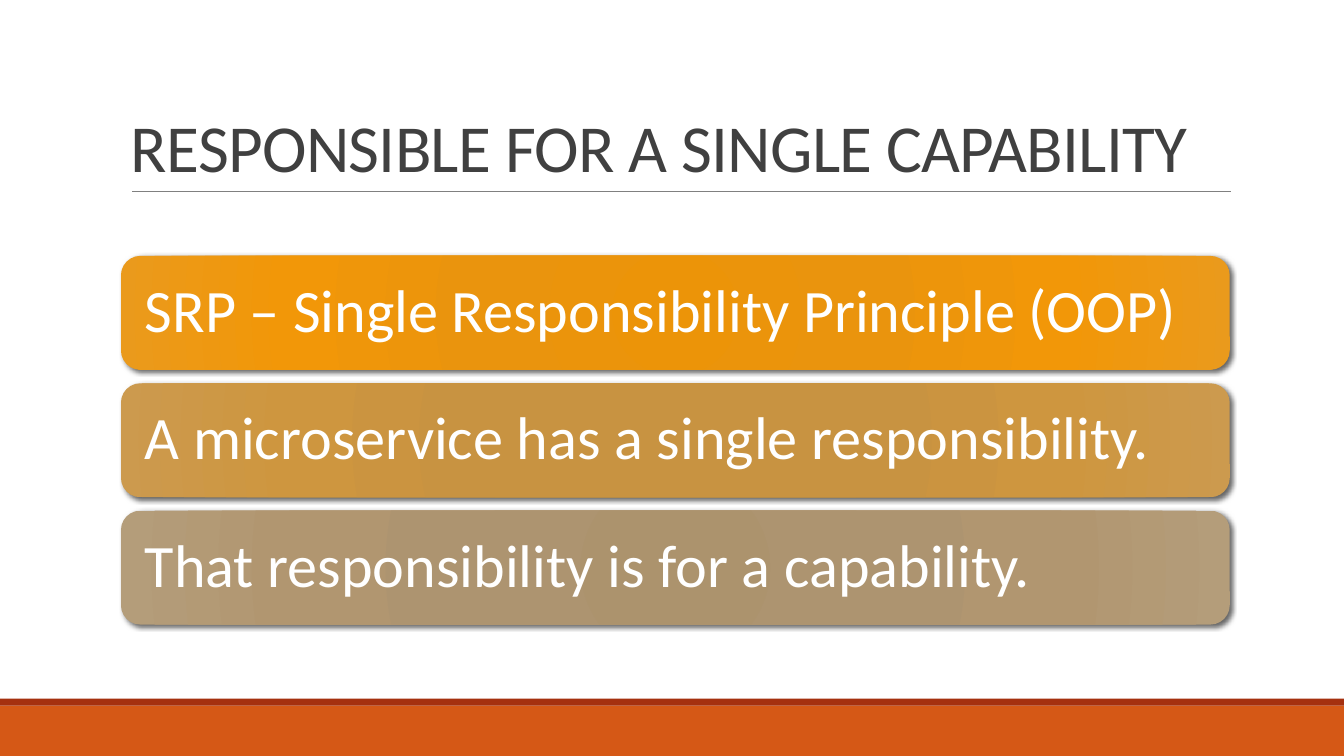
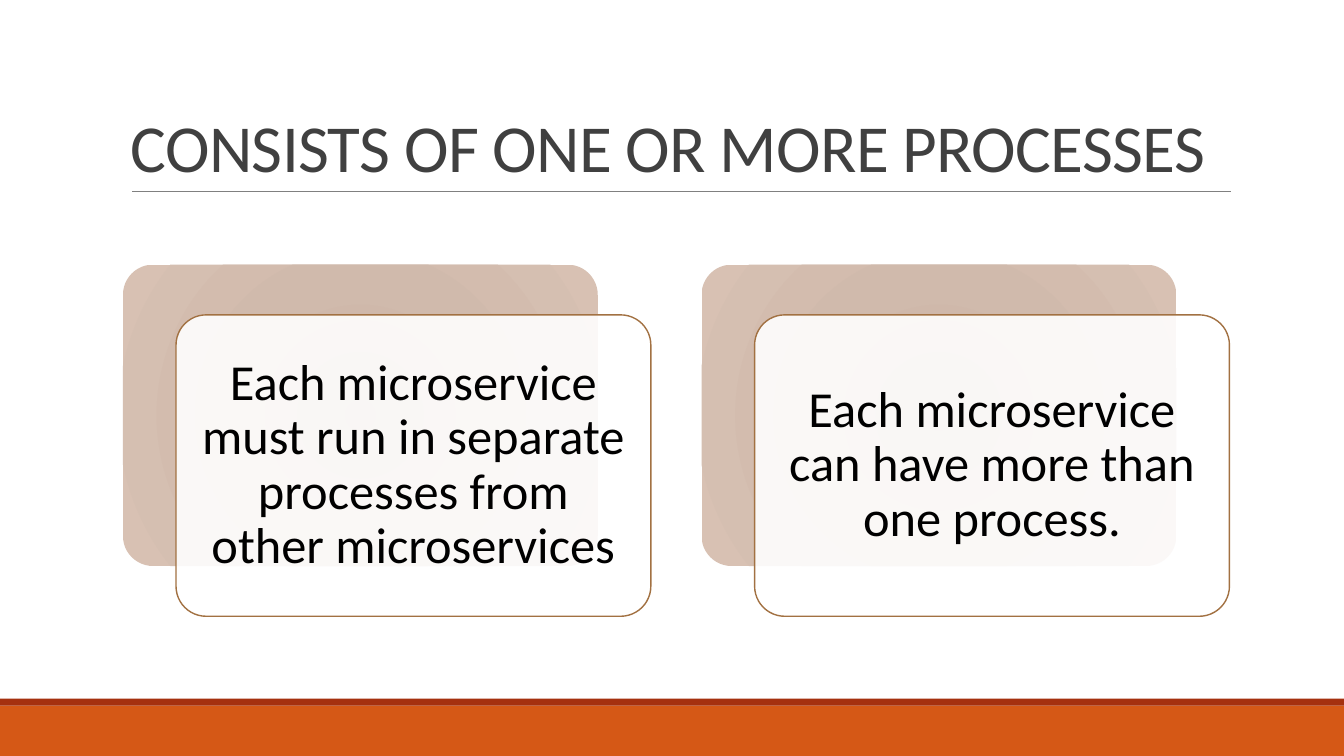
from pptx import Presentation
from pptx.dml.color import RGBColor
from pptx.enum.shapes import MSO_CONNECTOR, MSO_SHAPE
from pptx.enum.text import MSO_ANCHOR, PP_ALIGN
from pptx.oxml import parse_xml
from pptx.oxml.ns import nsdecls, qn
from pptx.util import Inches, Pt

ORANGE, RED, GREY, BROWN = "D55816", "A5300F", "808080", "A27142"
WHITE, BLACK, DARK = "FFFFFF", "000000", "404040"
CONTENT_LEFT, CONTENT_WIDTH = 9, 82.5

TITLE = {"size": Pt(48), "color": DARK, "line_spacing": 0.85,
         "alignment": PP_ALIGN.LEFT, "anchor": MSO_ANCHOR.BOTTOM}
BAR_TEXT = {"size": Pt(43), "color": WHITE, "line_spacing": 0.9, "inset": 0.18,
            "alignment": PP_ALIGN.LEFT, "anchor": MSO_ANCHOR.MIDDLE}
CARD_TEXT = {"size": Pt(36), "color": BLACK, "line_spacing": 0.9, "inset": 0.15,
             "alignment": PP_ALIGN.CENTER, "anchor": MSO_ANCHOR.MIDDLE}

BARS = [
    ("SRP – Single Responsibility Principle (OOP)",
     [(0, "EC9408"), (34, "EA940D"), (70, "F29708"), (100, "EA9A1C")]),
    ("A microservice has a single responsibility.",
     [(0, "C9923E"), (34, "C89341"), (70, "CE963F"), (100, "CC9A4E")]),
    ("That responsibility is for a capability.",
     [(0, "AC936D"), (34, "AD9470"), (70, "B19670"), (100, "B49D7A")]),
]
CARDS = [
    "Each microservice must run in separate processes from other microservices",
    "Each microservice can have more than one process.",
]
CARD_STOPS = [(0, "C7AD9C"), (45, "D0BAAC"), (100, "D8C1B3")]


def color(hex_string):
    return RGBColor.from_string(hex_string)


class Deck:
    """Holds the style and the current slide; all lengths are percents of the slide."""

    font_name = "Calibri"

    def __init__(self):
        self.presentation = Presentation()
        self.presentation.slide_width = Inches(13.33)
        self.presentation.slide_height = Inches(7.5)
        self.slide = None

    def scale(self, left, top, width, height):
        across = self.presentation.slide_width / 100
        down = self.presentation.slide_height / 100
        return (round(left * across), round(top * down),
                round(width * across), round(height * down))

    def new_slide(self, title):
        self.slide = self.presentation.slides.add_slide(self.presentation.slide_layouts[6])
        self.shape((0, 93.33, 100, 6.67), fill=ORANGE)
        self.shape((0, 92.4, 100, 0.93), fill=RED)
        self.rule(9.85, 25.33, 81.75)
        box = self.slide.shapes.add_textbox(
            *self.scale(CONTENT_LEFT, 4.13, CONTENT_WIDTH, 21.2))
        self.set_text(box, title, TITLE)
        run = box.text_frame.paragraphs[0].runs[0]
        run.font._element.set("spc", "-50")

    def rule(self, left, top, width):
        x, y, length, _ = self.scale(left, top, width, 0)
        line = self.slide.shapes.add_connector(MSO_CONNECTOR.STRAIGHT, x, y, x + length, y)
        line.line.color.rgb = color(GREY)
        line.line.width = Pt(0.5)
        line._element.spPr.append(parse_xml(f"<a:effectLst {nsdecls('a')}/>"))

    def shape(self, area, fill=None, outline=None, kind=MSO_SHAPE.RECTANGLE, rounding=None):
        shape = self.slide.shapes.add_shape(kind, *self.scale(*area))
        shape.shadow.inherit = False
        if rounding is not None:
            shape.adjustments[0] = rounding
        if fill:
            shape.fill.solid()
            shape.fill.fore_color.rgb = color(fill)
        if outline:
            shape.line.color.rgb = color(outline)
            shape.line.width = Pt(1)
        else:
            shape.line.fill.background()
        return shape

    def rounded(self, area, rounding, **style):
        return self.shape(area, kind=MSO_SHAPE.ROUNDED_RECTANGLE, rounding=rounding, **style)

    def radial_fill(self, shape, stops):
        shape.fill.gradient()
        properties = shape._element.spPr
        stop_list = "".join(
            f'<a:gs pos="{position * 1000}"><a:srgbClr val="{value}"/></a:gs>'
            for position, value in stops)
        gradient = parse_xml(
            f'<a:gradFill {nsdecls("a")} rotWithShape="1"><a:gsLst>{stop_list}</a:gsLst>'
            '<a:path path="circle"><a:fillToRect l="100000" t="100000" r="100000" b="100000"/>'
            '</a:path></a:gradFill>')
        properties.replace(properties.find(qn("a:gradFill")), gradient)

    def drop_shadow(self, shape):
        shape._element.spPr.find(qn("a:effectLst")).append(parse_xml(
            f'<a:outerShdw {nsdecls("a")} blurRad="{Pt(3.5)}" dist="{Pt(2)}" dir="2700000" '
            f'algn="br" rotWithShape="0"><a:srgbClr val="{BLACK}"><a:alpha val="60000"/>'
            '</a:srgbClr></a:outerShdw>'))

    def translucent(self, shape, percent):
        solid = shape._element.spPr.find(qn("a:solidFill"))
        solid[0].append(parse_xml(f'<a:alpha {nsdecls("a")} val="{percent * 1000}"/>'))

    def set_text(self, shape, text, style):
        frame = shape.text_frame
        frame.word_wrap = True
        frame.vertical_anchor = style["anchor"]
        if "inset" in style:
            inset = Inches(style["inset"])
            frame.margin_left = frame.margin_right = inset
            frame.margin_top = frame.margin_bottom = inset
        paragraph = frame.paragraphs[0]
        for name in ("alignment", "line_spacing"):
            setattr(paragraph, name, style[name])
        run = paragraph.add_run()
        run.text = text
        for name, value in {"name": self.font_name, "size": style["size"]}.items():
            setattr(run.font, name, value)
        run.font.color.rgb = color(style["color"])

    def bar(self, top, text, stops):
        bar = self.rounded((CONTENT_LEFT, top, CONTENT_WIDTH, 15.07), 0.17)
        self.radial_fill(bar, stops)
        self.drop_shadow(bar)
        self.set_text(bar, text, BAR_TEXT)

    def card(self, left, top, text):
        """Draws a tinted panel with a translucent text card offset over it."""
        width, height = 35.33, 39.87
        panel = self.rounded((left, top, width, height), 0.1)
        self.radial_fill(panel, CARD_STOPS)
        card = self.rounded((left + 3.95, top + 6.65, width, height), 0.1,
                            fill=WHITE, outline=BROWN)
        self.translucent(card, 90)
        self.set_text(card, text, CARD_TEXT)


def main():
    deck = Deck()

    deck.new_slide("RESPONSIBLE FOR A SINGLE CAPABILITY")
    for index, (text, stops) in enumerate(BARS):
        deck.bar(33.85 + index * 16.85, text, stops)

    deck.new_slide("CONSISTS OF ONE OR MORE PROCESSES")
    for index, text in enumerate(CARDS):
        deck.card(9.15 + index * 43.05, 35, text)

    deck.presentation.save("out.pptx")


if __name__ == "__main__":
    main()
